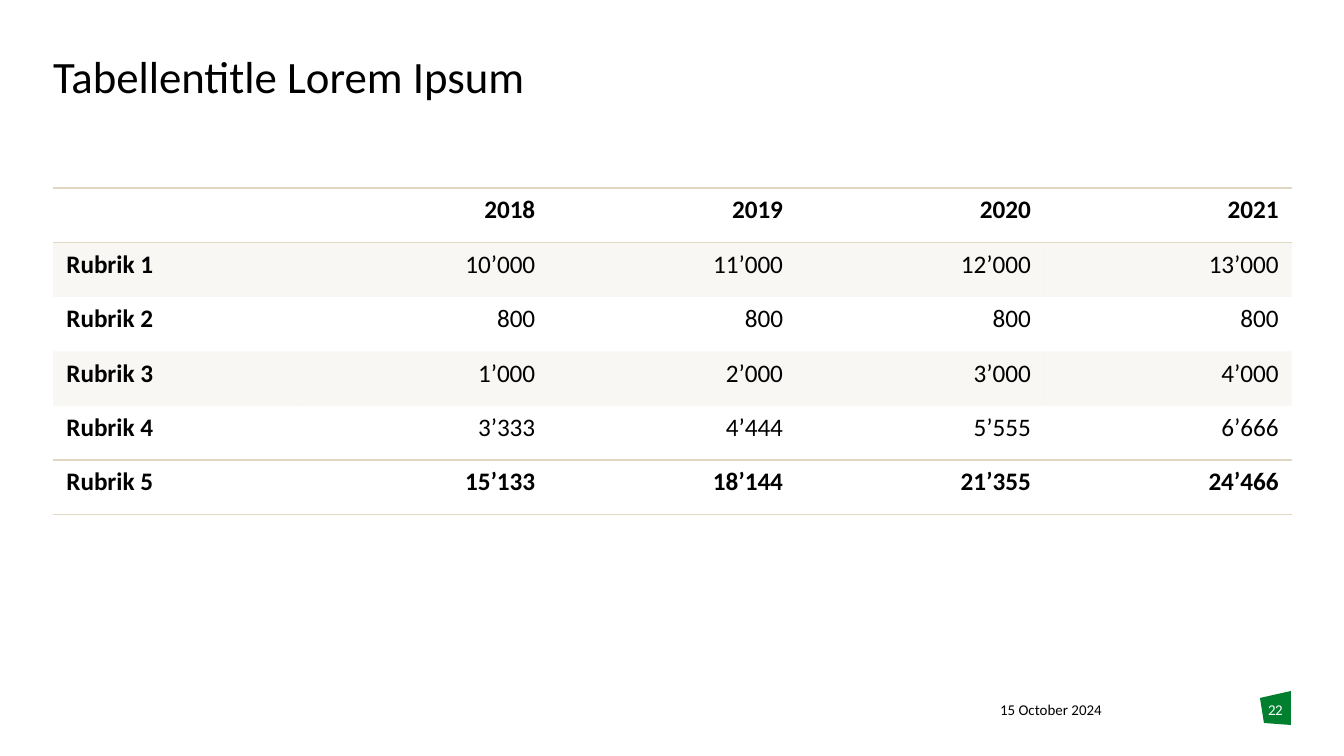
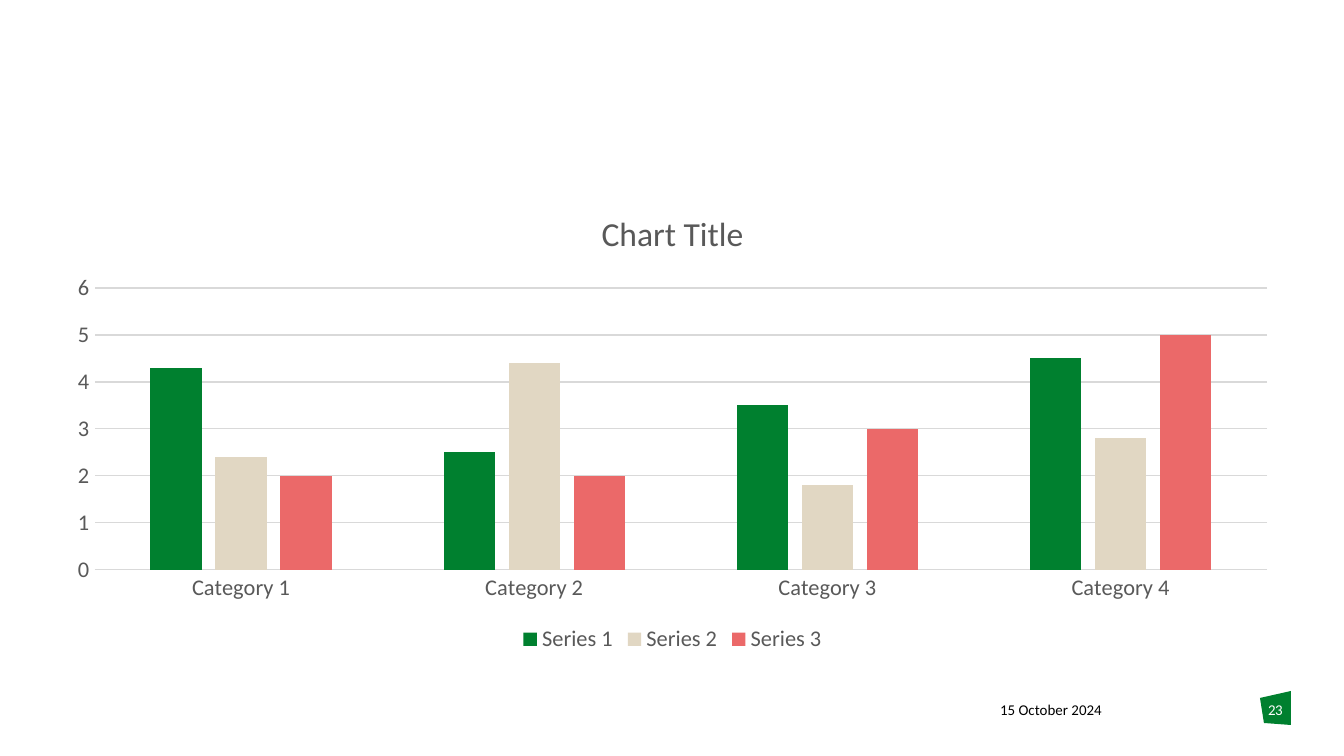
"""Build a table slide and a column chart slide with a shared footer."""
from lxml import etree
from pptx import Presentation
from pptx import util as u
from pptx.chart.data import CategoryChartData
from pptx.dml.color import RGBColor
from pptx.enum import chart as ch, text
from pptx.oxml import ns

PX = 914400 / 134.4
FONT = "Calibri"
COLOURS = {"green": "00802F", "sand": "E1D7C3", "coral": "EB6969", "black": "000000",
           "white": "FFFFFF", "label": "595959", "grid": "D9D9D9"}
RGB = {name: RGBColor.from_string(value) for name, value in COLOURS.items()}
LEFT, WIDTH, CONTENT_TOP = 53, 1239, 188


def px(*lengths):
    return [u.Emu(round(length * PX)) for length in lengths]


def write(frame, words, size, colour="black", align="LEFT", margin=0, bold=False):
    if margin is not None:
        for side in ("left", "right", "top", "bottom"):
            setattr(frame, f"margin_{side}", margin)
    frame.word_wrap = True
    frame.vertical_anchor = text.MSO_ANCHOR.TOP
    paragraph = frame.paragraphs[0]
    paragraph.alignment = getattr(text.PP_ALIGN, align)
    run = paragraph.add_run()
    run.text = words
    for key, value in {"name": FONT, "size": u.Pt(size), "bold": bold}.items():
        setattr(run.font, key, value)
    run.font.color.rgb = RGB[colour]
    return run


deck = Presentation()
deck.slide_width, deck.slide_height = px(1344, 756)
table_slide = deck.slides.add_slide(deck.slide_layouts[5])
chart_slide = deck.slides.add_slide(deck.slide_layouts[6])

for number, slide in enumerate((table_slide, chart_slide), 22):
    outline = slide.shapes.build_freeform(1260, 698, scale=PX)
    outline.add_line_segments([(1291, 691), (1291, 725), (1264, 723)], close=True)
    badge = outline.convert_to_shape()
    badge.shadow.inherit = False
    badge.fill.solid()
    badge.fill.fore_color.rgb = RGB["green"]
    badge.line.fill.background()
    date = slide.shapes.add_textbox(*px(1000, 701, 173, 27))
    write(date.text_frame, "15 October 2024", 8)
    page = slide.shapes.add_textbox(*px(1260, 701, 31, 40))
    page_run = write(page.text_frame, str(number), 8, "white", "CENTER")
    page_run.font._element.set("spc", "-30")

title = table_slide.shapes.title
title.left, title.top, title.width, title.height = px(LEFT, 55, WIDTH, 90)
write(title.text_frame, "Tabellentitle Lorem Ipsum", 24)
title.text_frame.auto_size = text.MSO_AUTO_SIZE.NONE
title.text_frame.paragraphs[0].line_spacing = 0.9

rows = [
    ["", "2018", "2019", "2020", "2021"],
    ["Rubrik 1", "10’000", "11’000", "12’000", "13’000"],
    ["Rubrik 2", "800", "800", "800", "800"],
    ["Rubrik 3", "1’000", "2’000", "3’000", "4’000"],
    ["Rubrik 4", "3’333", "4’444", "5’555", "6’666"],
    ["Rubrik 5", "15’133", "18’144", "21’355", "24’466"],
]
figures = table_slide.shapes.add_table(len(rows), len(rows[0]),
                                       *px(LEFT, CONTENT_TOP, WIDTH, 327)).table
figures.first_row = figures.horz_banding = False
figures._tbl.tblPr[0].text = "{2D5ABB26-0587-4C30-8999-92F81FD0307C}"
for r, row in enumerate(rows):
    ruled = r in (0, len(rows) - 1)
    for c, words in enumerate(row):
        cell = figures.cell(r, c)
        if words:
            write(cell.text_frame, words, 13.5, align="RIGHT" if c else "LEFT",
                  margin=None, bold=ruled or c == 0)
        properties = cell._tc.get_or_add_tcPr()
        if r in (1, 3):
            cell.fill.solid()
            cell.fill.fore_color.rgb = RGB["sand"]
            tint = properties.find(".//" + ns.qn("a:srgbClr"))
            etree.SubElement(tint, ns.qn("a:alpha"), val="20000")
        else:
            cell.fill.background()
        if ruled:
            for place, edge in enumerate(("a:lnT", "a:lnB")):
                rule = etree.Element(ns.qn(edge), w=str(u.Pt(1)))
                solid = etree.SubElement(rule, ns.qn("a:solidFill"))
                etree.SubElement(solid, ns.qn("a:srgbClr"), val=COLOURS["sand"])
                properties.insert(place, rule)

data = CategoryChartData()
data.categories = [f"Category {n}" for n in range(1, 5)]
series_values = [(4.3, 2.5, 3.5, 4.5), (2.4, 4.4, 1.8, 2.8), (2, 2, 3, 5)]
for n, values in enumerate(series_values, 1):
    data.add_series(f"Series {n}", values)
columns = chart_slide.shapes.add_chart(ch.XL_CHART_TYPE.COLUMN_CLUSTERED,
                                       *px(LEFT, CONTENT_TOP, WIDTH, 470), data).chart
columns.has_title = columns.has_legend = True
heading = columns.chart_title.text_frame.paragraphs[0].add_run()
heading.text = "Chart Title"
columns.legend.position = ch.XL_LEGEND_POSITION.BOTTOM
columns.legend.include_in_layout = False

categories, scale = columns.category_axis, columns.value_axis
for key, value in {"minimum_scale": 0, "maximum_scale": 6, "major_unit": 1}.items():
    setattr(scale, key, value)
for axis in (categories, scale):
    axis.major_tick_mark = axis.minor_tick_mark = ch.XL_TICK_MARK.NONE
for line in (categories.format.line, scale.major_gridlines.format.line):
    line.color.rgb = RGB["grid"]
    line.width = u.Pt(0.75)
scale.format.line.fill.background()

label_fonts = [(columns.font, 10, "black"), (heading.font, 18, "label"),
               (columns.legend.font, 12, "label"),
               (categories.tick_labels.font, 12, "label"),
               (scale.tick_labels.font, 12, "label")]
for font, size, colour in label_fonts:
    for key, value in {"name": FONT, "size": u.Pt(size), "bold": False}.items():
        setattr(font, key, value)
    font.color.rgb = RGB[colour]

plot = columns.plots[0]
for key, value in {"gap_width": 219, "overlap": -27, "vary_by_categories": False}.items():
    setattr(plot, key, value)
for series, colour in zip(plot.series, ("green", "sand", "coral")):
    series.format.fill.solid()
    series.format.fill.fore_color.rgb = RGB[colour]

deck.save("out.pptx")
